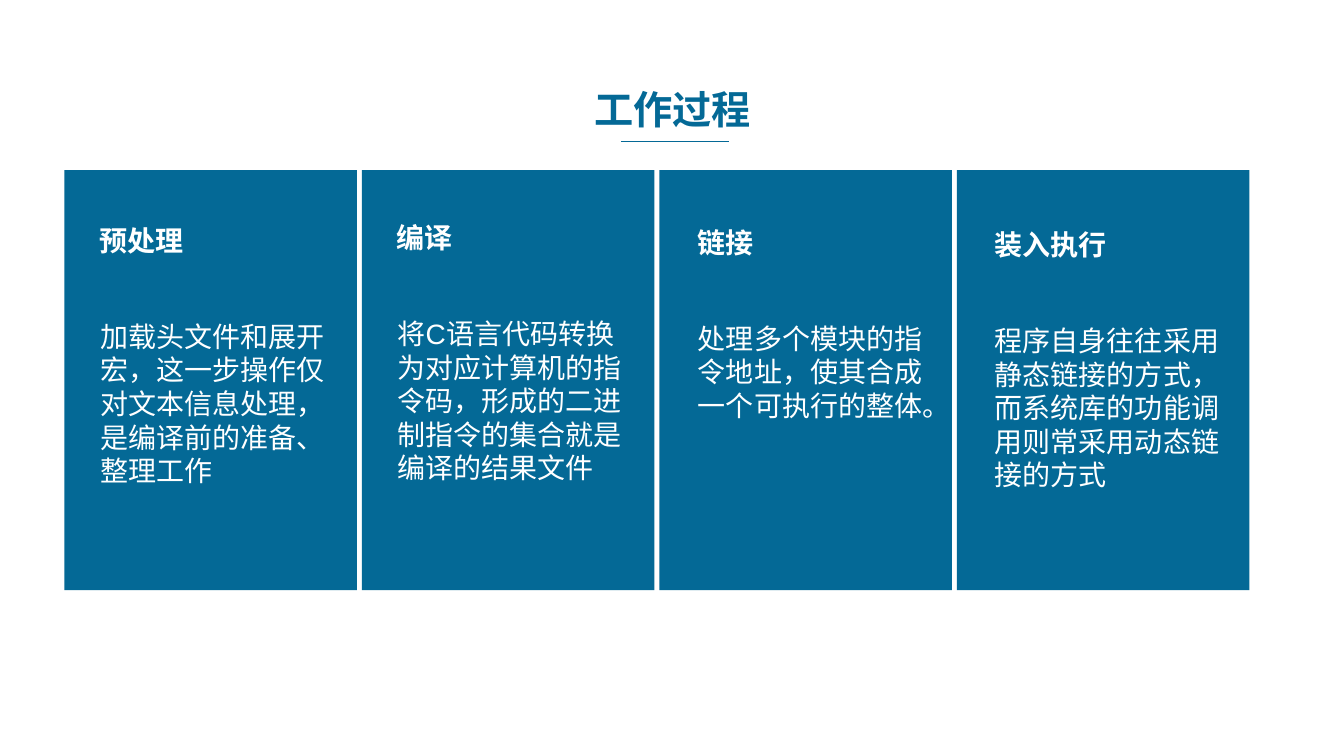
from lxml.etree import SubElement
from pptx import Presentation
from pptx.dml.color import RGBColor
from pptx.enum.shapes import MSO_CONNECTOR, MSO_SHAPE
from pptx.enum.text import MSO_ANCHOR, MSO_AUTO_SIZE, PP_ALIGN
from pptx.oxml.ns import qn
from pptx.util import Pt

BLUE = RGBColor(0x04, 0x69, 0x96)
WHITE = RGBColor(0xFF, 0xFF, 0xFF)


def style(frame, text, size, color, bold=False):
    frame.text = text
    frame.word_wrap = True
    frame.auto_size = MSO_AUTO_SIZE.NONE
    font = frame.paragraphs[0].font
    font.name = "Arial"
    font.size = Pt(size)
    font.bold = bold
    font.color.rgb = color


def label(left, top, width, height, text, bold=False):
    box = slide.shapes.add_textbox(Pt(left), Pt(top), Pt(width), Pt(height))
    style(box.text_frame, text, 20, WHITE, bold)


deck = Presentation()
deck.slide_width, deck.slide_height = Pt(960), Pt(540)
slide = deck.slides.add_slide(deck.slide_layouts[5])

# Title and rule
title = slide.shapes.title
title.left, title.top, title.width, title.height = Pt(396), Pt(57), Pt(169), Pt(41)
style(title.text_frame, "工作过程", 28, BLUE, True)
title.text_frame.vertical_anchor = MSO_ANCHOR.MIDDLE
title.text_frame.paragraphs[0].alignment = PP_ALIGN.CENTER

rule = slide.shapes.add_connector(
    MSO_CONNECTOR.STRAIGHT, Pt(443.5), Pt(101), Pt(520.5), Pt(101))
rule.line.color.rgb = BLUE
rule.line.width = Pt(0.5)
SubElement(rule._element.spPr, qn("a:effectLst"))

# Four steps: text indent, heading top, heading, body
steps = [
    (18, 156, "预处理",
     "加载头文件和展开宏，这一步操作仅对文本信息处理，是编译前的准备、整理工作"),
    (18, 154, "编译",
     "将C语言代码转换为对应计算机的指令码，形成的二进制指令的集合就是编译的结果文件"),
    (20, 157.5, "链接",
     "处理多个模块的指令地址，使其合成一个可执行的整体。"),
    (19.5, 159, "装入执行",
     "程序自身往往采用静态链接的方式，而系统库的功能调用则常采用动态链接的方式"),
]

for i, (indent, top, head, body) in enumerate(steps):
    left = 46 + 212.5 * i
    card = slide.shapes.add_shape(
        MSO_SHAPE.RECTANGLE, Pt(left), Pt(121.5), Pt(209), Pt(300))
    card.shadow.inherit = False
    card.fill.solid()
    card.fill.fore_color.rgb = BLUE
    card.line.fill.background()
    label(left + indent, top, 130, 30, head, True)
    label(left + indent + 0.5, top + 68.5, 177, 128, body)

deck.save("out.pptx")
